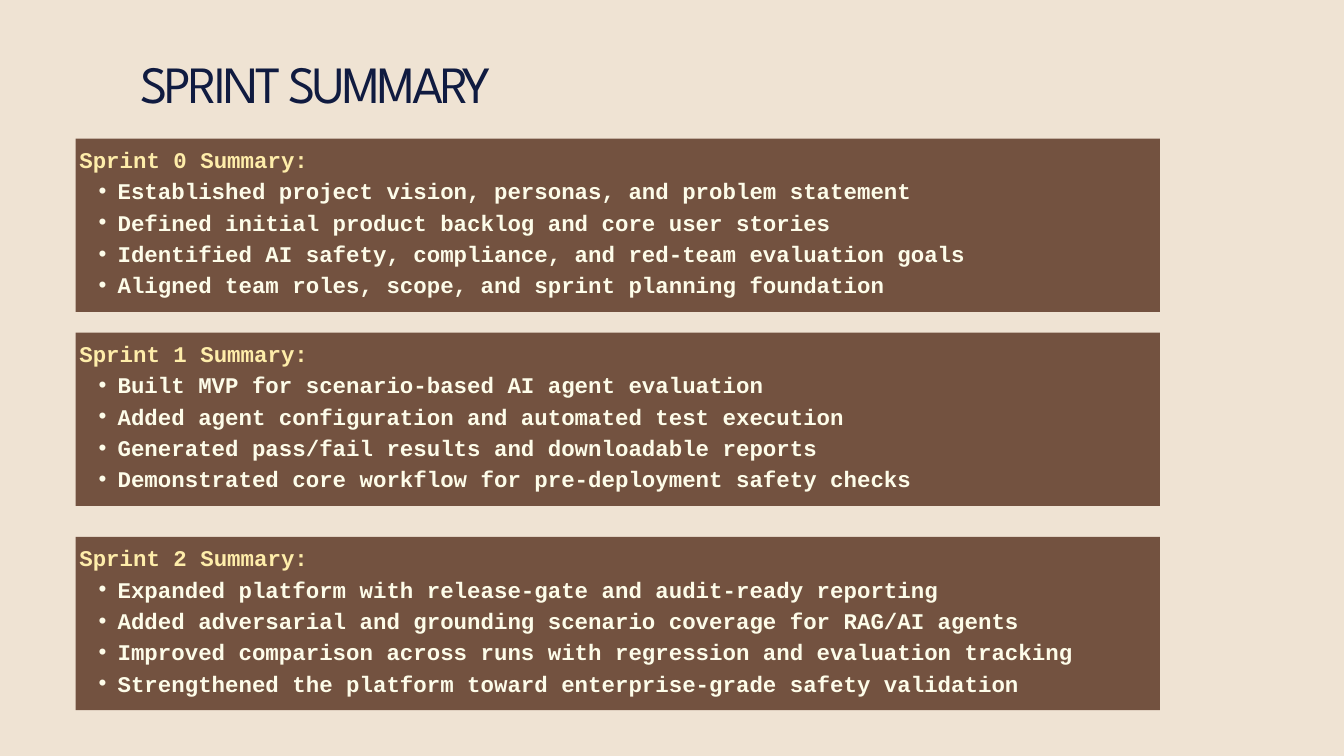
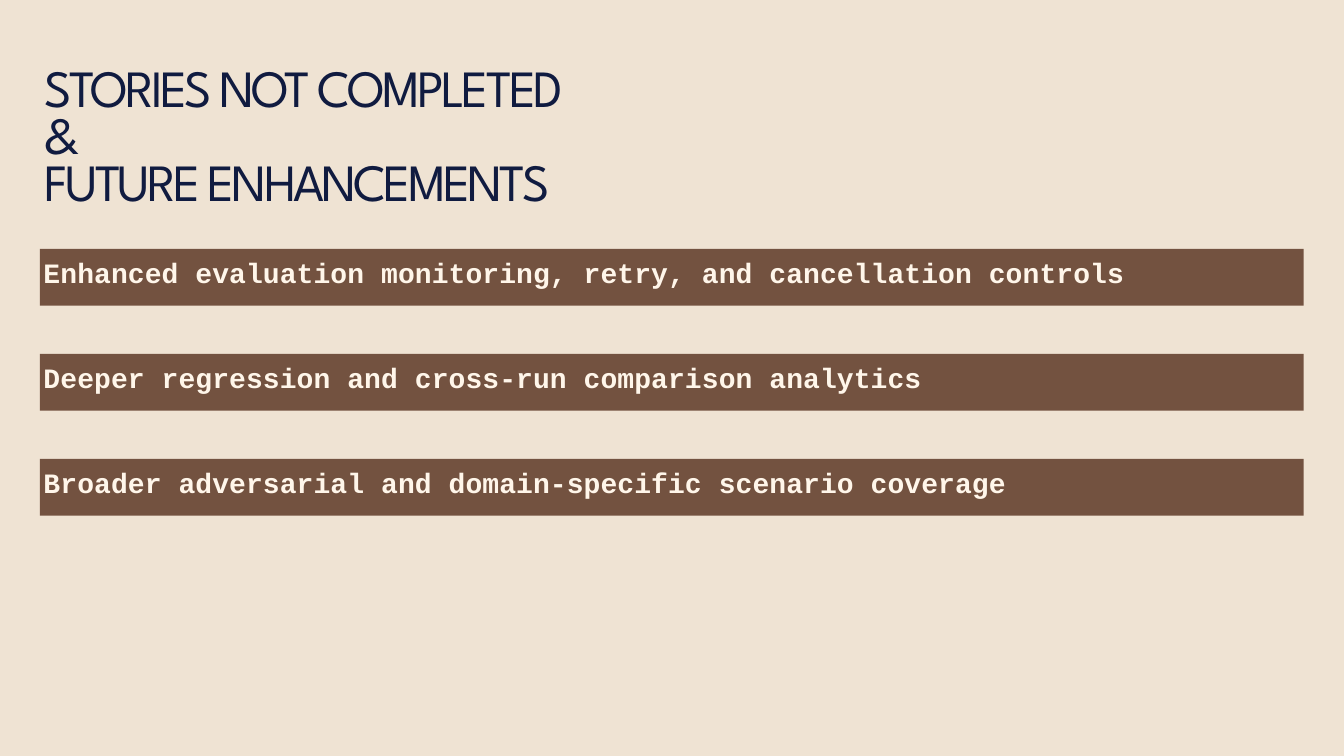
from lxml.etree import SubElement
from pptx import Presentation
from pptx.dml.color import RGBColor
from pptx.enum.shapes import MSO_SHAPE
from pptx.enum.text import MSO_ANCHOR, MSO_AUTO_SIZE, PP_ALIGN
from pptx.oxml.ns import qn
from pptx.util import Pt

COLORS = {
    "background": "EFE3D3",
    "title": "101B40",
    "panel": "735240",
    "heading": "FEEDAA",
    "bullet": "FDFCE9",
    "story": "FFF6EA",
}
TITLE_FONT, BODY_FONT = "League Spartan", "Courier New"
PANEL_INSET = 4

SPRINTS = [
    ("Sprint 0 Summary:", [
        "Established project vision, personas, and problem statement",
        "Defined initial product backlog and core user stories",
        "Identified AI safety, compliance, and red-team evaluation goals",
        "Aligned team roles, scope, and sprint planning foundation",
    ]),
    ("Sprint 1 Summary:", [
        "Built MVP for scenario-based AI agent evaluation",
        "Added agent configuration and automated test execution",
        "Generated pass/fail results and downloadable reports",
        "Demonstrated core workflow for pre-deployment safety checks",
    ]),
    ("Sprint 2 Summary:", [
        "Expanded platform with release-gate and audit-ready reporting",
        "Added adversarial and grounding scenario coverage for RAG/AI agents",
        "Improved comparison across runs with regression and evaluation tracking",
        "Strengthened the platform toward enterprise-grade safety validation",
    ]),
]
SPRINT_TOPS = [148.5, 356.5, 575.3]

STORIES = [
    "Enhanced evaluation monitoring, retry, and cancellation controls",
    "Deeper regression and cross-run comparison analytics",
    "Broader adversarial and domain-specific scenario coverage",
]


def rgb(name):
    return RGBColor.from_string(COLORS[name])


def set_insets(frame, inset):
    frame.margin_left = frame.margin_right = Pt(inset)
    frame.margin_top = frame.margin_bottom = Pt(inset)


def add_line(frame, text, font, size, color, spacing, bold=False, tracking=0):
    """Write one paragraph, reusing the empty first one."""
    first = frame.paragraphs[0]
    line = frame.add_paragraph() if first.runs else first
    line.line_spacing = Pt(spacing)
    line.space_before = Pt(0)
    run = line.add_run()
    run.text = text
    run.font.name, run.font.size, run.font.bold = font, Pt(size), bold
    run.font.color.rgb = rgb(color)
    if tracking:
        run._r.get_or_add_rPr().set("spc", str(round(tracking * 100)))
    return line


def add_bullet(line):
    line.level = 1
    properties = line._p.get_or_add_pPr()
    properties.set("marL", str(Pt(41)))
    properties.set("indent", str(Pt(-20.4)))
    SubElement(properties, qn("a:buFont")).set("typeface", "Arial")
    SubElement(properties, qn("a:buChar")).set("char", "•")


def add_title(slide, box, lines, align):
    title = slide.shapes.title
    title.left, title.top, title.width, title.height = map(Pt, box)
    frame = title.text_frame
    frame.word_wrap = True
    frame.auto_size = MSO_AUTO_SIZE.NONE
    frame.vertical_anchor = MSO_ANCHOR.TOP
    set_insets(frame, 0)
    for text in lines:
        line = add_line(frame, text, TITLE_FONT, 56, "title", 50.4, tracking=-3.2)
        line.alignment = align


def add_panel(slide, box, lift):
    """Group a filled band with a text frame that starts `lift` above it."""
    left, top, width, height = box
    group = slide.shapes.add_group_shape()
    band = group.shapes.add_shape(MSO_SHAPE.RECTANGLE, *map(Pt, box))
    band.shadow.inherit = False
    band.fill.solid()
    band.fill.fore_color.rgb = rgb("panel")
    band.line.fill.background()
    words = group.shapes.add_textbox(
        Pt(left), Pt(top - lift), Pt(width), Pt(height + lift))
    frame = words.text_frame
    frame.word_wrap = True
    frame.vertical_anchor = MSO_ANCHOR.MIDDLE
    set_insets(frame, PANEL_INSET)
    return frame


def add_sprint(slide, box, heading, results):
    frame = add_panel(slide, box, lift=11.5)
    add_line(frame, heading, BODY_FONT, 24, "heading", 33.6, bold=True)
    for result in results:
        add_bullet(add_line(frame, result, BODY_FONT, 24, "bullet", 33.6, bold=True))


def add_story(slide, box, story):
    frame = add_panel(slide, box, lift=17)
    add_line(frame, story, BODY_FONT, 30, "story", 42, bold=True, tracking=0.1)


def build_sprint_summary(slide):
    add_title(slide, (51, 71.3, 574.5, 54), ["SPRINT SUMMARY"], PP_ALIGN.CENTER)
    for top, (heading, results) in zip(SPRINT_TOPS, SPRINTS):
        add_sprint(slide, (81, top, 1161.6, 185.6), heading, results)


def build_open_stories(slide):
    add_title(slide, (48.2, 76.3, 1185, 155),
              ["STORIES NOT COMPLETED", "&", "FUTURE ENHANCEMENTS"], PP_ALIGN.LEFT)
    for row, story in enumerate(STORIES):
        add_story(slide, (42.6, 266.8 + 112.5 * row, 1354.2, 60.6), story)


def main():
    deck = Presentation()
    deck.slide_width, deck.slide_height = Pt(1440), Pt(810)
    # Shared background
    fill = deck.slide_master.background.fill
    fill.solid()
    fill.fore_color.rgb = rgb("background")
    # Slides
    title_only = deck.slide_layouts[5]
    for build in (build_sprint_summary, build_open_stories):
        build(deck.slides.add_slide(title_only))
    deck.save("out.pptx")


if __name__ == "__main__":
    main()
